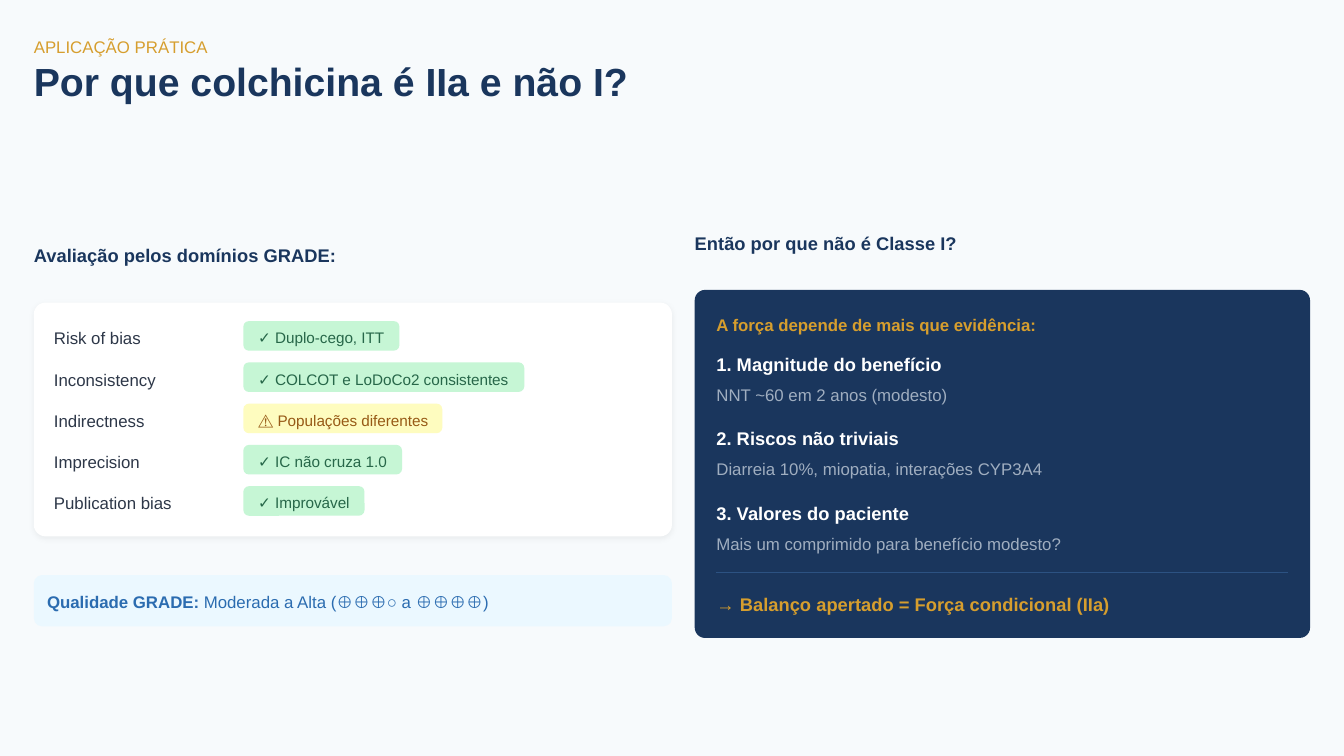
from dataclasses import dataclass

from lxml import etree
from pptx import Presentation
from pptx.dml.color import RGBColor
from pptx.enum.shapes import MSO_CONNECTOR, MSO_SHAPE
from pptx.oxml.ns import qn
from pptx.util import Cm, Pt

COLORS = {
    "background": "F7FAFC",
    "navy": "1A365D",
    "gold": "D69E2E",
    "white": "FFFFFF",
    "text": "2D3748",
    "muted": "A0AEC0",
    "green_fill": "C6F6D5",
    "green_text": "276749",
    "yellow_fill": "FEFCBF",
    "yellow_text": "975A16",
    "blue_fill": "EBF8FF",
    "blue_text": "2B6CB0",
    "rule": "2C5282",
}
FONT = "Arial"
BODY, HEADING, BADGE, TITLE = 9, 9.8, 8.2, 21
LINE_SPACING = {BODY: 12.6, HEADING: 13.7, BADGE: 11.6, TITLE: 21}
LEFT = 0.64
RIGHT = 13.13
INNER = 13.54
INNER_WIDTH = 11
CARD_WIDTH = 12.06


@dataclass
class Domain:
    name: str
    verdict: str
    badge_width: float
    tone: str = "green"


@dataclass
class Reason:
    heading: str
    detail: str


DOMAINS = [
    Domain("Risk of bias", "✓ Duplo-cego, ITT", 2.95),
    Domain("Inconsistency", "✓ COLCOT e LoDoCo2 consistentes", 5.31),
    Domain("Indirectness", "⚠ Populações diferentes", 3.76, "yellow"),
    Domain("Imprecision", "✓ IC não cruza 1.0", 3),
    Domain("Publication bias", "✓ Improvável", 2.29),
]
REASONS = [
    Reason("1. Magnitude do benefício", "NNT ~60 em 2 anos (modesto)"),
    Reason("2. Riscos não triviais", "Diarreia 10%, miopatia, interações CYP3A4"),
    Reason("3. Valores do paciente", "Mais um comprimido para benefício modesto?"),
]


def rgb(name: str) -> RGBColor:
    return RGBColor.from_string(COLORS[name])


def add_text(slide, text: str, *, left: float, top: float, width: float,
             height: float = 0.43, size: float = BODY, color: str = "text",
             bold: bool = False, wrap: bool = True, after: float = 0,
             plain_tail: str = "") -> None:
    """Add one line of text, with an optional regular-weight ending."""
    box = slide.shapes.add_textbox(Cm(left), Cm(top), Cm(width), Cm(height))
    frame = box.text_frame
    frame.word_wrap = wrap
    frame.margin_left = frame.margin_right = 0
    frame.margin_top = frame.margin_bottom = 0
    paragraph = frame.paragraphs[0]
    paragraph.line_spacing = Pt(LINE_SPACING[size])
    paragraph.space_after = Pt(after)
    for content, weight in ((text, bold), (plain_tail, False)):
        if content:
            run = paragraph.add_run()
            run.text = content
            run.font.name = FONT
            run.font.size = Pt(size)
            run.font.bold = weight
            run.font.color.rgb = rgb(color)


def add_panel(slide, left: float, top: float, width: float, height: float,
              fill: str, rounding: float):
    """Add a borderless rounded rectangle."""
    shape = slide.shapes.add_shape(MSO_SHAPE.ROUNDED_RECTANGLE, Cm(left),
                                   Cm(top), Cm(width), Cm(height))
    shape.adjustments[0] = rounding
    shape.fill.solid()
    shape.fill.fore_color.rgb = rgb(fill)
    shape.line.fill.background()
    shape.shadow.inherit = False
    return shape


def add_soft_shadow(shape) -> None:
    effects = shape.element.spPr.find(qn("a:effectLst"))
    shadow = etree.SubElement(effects, qn("a:outerShdw"), blurRad=str(Pt(3)),
                              dist=str(Pt(0.8)), dir="5400000", rotWithShape="0")
    color = etree.SubElement(shadow, qn("a:srgbClr"), val="000000")
    etree.SubElement(color, qn("a:alpha"), val="6000")


def add_rule(slide, left: float, right: float, top: float) -> None:
    line = slide.shapes.add_connector(MSO_CONNECTOR.STRAIGHT, Cm(left), Cm(top),
                                      Cm(right), Cm(top))
    line.line.color.rgb = rgb("rule")
    line.line.width = Pt(0.75)
    etree.SubElement(line.element.spPr, qn("a:effectLst"))


def add_domain(slide, domain: Domain, top: float) -> None:
    add_text(slide, domain.name, left=1.02, top=top, width=3.23)
    add_panel(slide, 4.6, top - 0.07, domain.badge_width, 0.56,
              f"{domain.tone}_fill", 0.19)
    add_text(slide, domain.verdict, left=4.88, top=top + 0.01,
             width=domain.badge_width - 0.48, height=0.41, size=BADGE,
             color=f"{domain.tone}_text", wrap=False)


def add_reason(slide, reason: Reason, top: float) -> None:
    add_text(slide, reason.heading, left=INNER, top=top, width=INNER_WIDTH,
             height=0.48, size=HEADING, color="white", bold=True, after=3)
    add_text(slide, reason.detail, left=INNER, top=top + 0.6,
             width=INNER_WIDTH, color="muted")


def main() -> None:
    presentation = Presentation()
    presentation.slide_width = Cm(25.4)
    presentation.slide_height = Cm(14.29)
    slide = presentation.slides.add_slide(presentation.slide_layouts[6])
    slide.background.fill.solid()
    slide.background.fill.fore_color.rgb = rgb("background")

    # Title
    add_text(slide, "APLICAÇÃO PRÁTICA", left=LEFT, top=0.64, width=24.6,
             color="gold", after=4.5)
    add_text(slide, "Por que colchicina é IIa e não I?", left=LEFT, top=1.24,
             width=12.34, height=0.74, size=TITLE, color="navy", bold=True)

    # Left column: GRADE domains
    add_text(slide, "Avaliação pelos domínios GRADE:", left=LEFT, top=4.55,
             width=12.29, height=0.48, size=HEADING, color="navy", bold=True,
             after=7.5)
    card = add_panel(slide, LEFT, 5.72, CARD_WIDTH, 4.42, "white", 0.05)
    add_soft_shadow(card)
    for index, domain in enumerate(DOMAINS):
        add_domain(slide, domain, 6.14 + 0.78 * index)

    # Overall quality
    add_panel(slide, LEFT, 10.87, CARD_WIDTH, 0.97, "blue_fill", 0.16)
    add_text(slide, "Qualidade GRADE:", left=0.89, top=11.13, width=11.76,
             color="blue_text", bold=True,
             plain_tail=" Moderada a Alta (⊕⊕⊕○ a ⊕⊕⊕⊕)")

    # Right column: reasons and conclusion
    add_text(slide, "Então por que não é Classe I?", left=RIGHT, top=4.32,
             width=11.86, height=0.48, size=HEADING, color="navy", bold=True,
             after=7.5)
    add_panel(slide, RIGHT, 5.48, 11.63, 6.58, "navy", 0.03)
    add_text(slide, "A força depende de mais que evidência:", left=INNER,
             top=5.89, width=INNER_WIDTH, color="gold", bold=True, after=7.5)
    for index, reason in enumerate(REASONS):
        add_reason(slide, reason, 6.6 + 1.41 * index)
    add_rule(slide, INNER, 24.34, 10.82)
    add_text(slide, "→ Balanço apertado = Força condicional (IIa)", left=INNER,
             top=11.15, width=INNER_WIDTH, height=0.48, size=HEADING,
             color="gold", bold=True)

    presentation.save("out.pptx")


if __name__ == "__main__":
    main()
